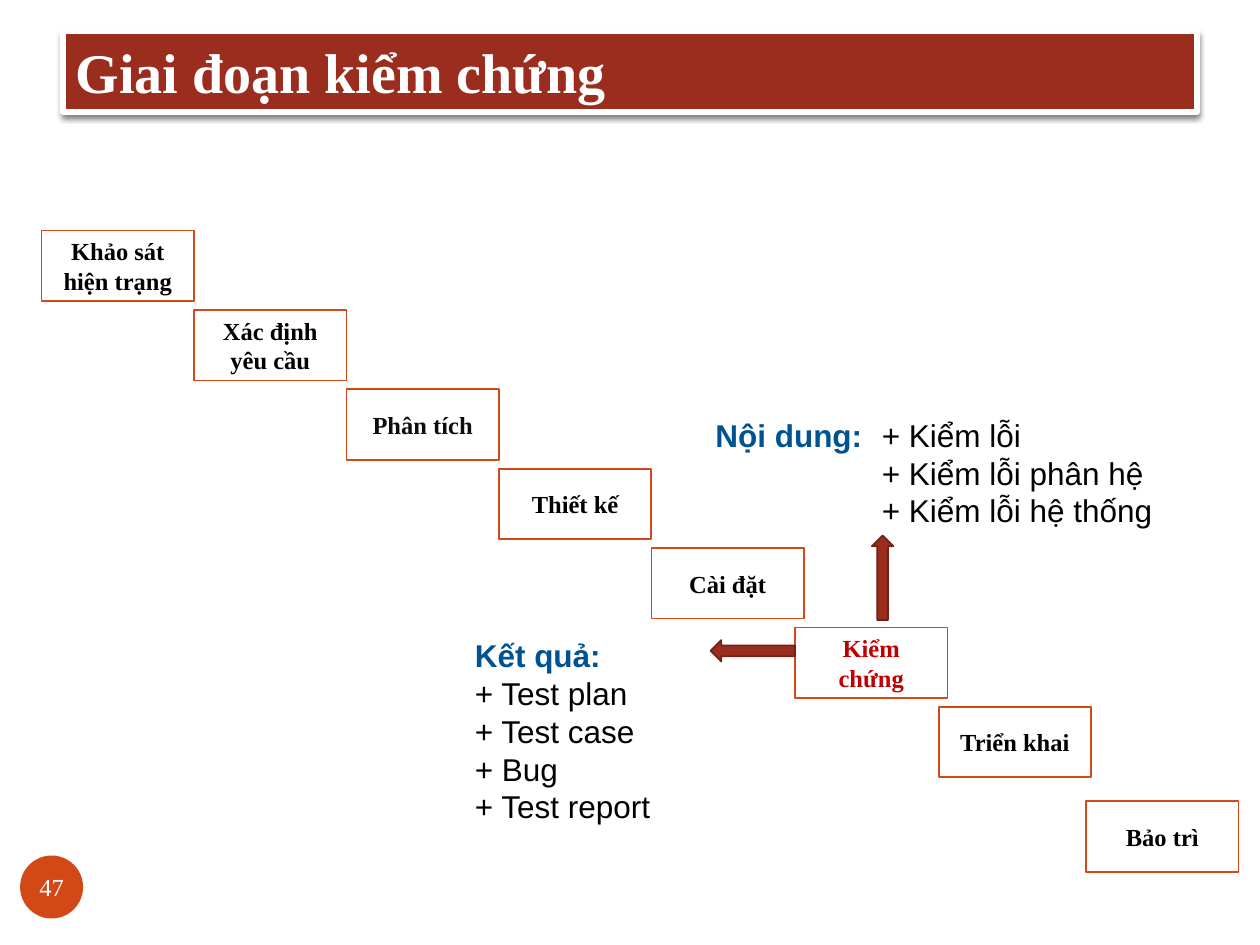
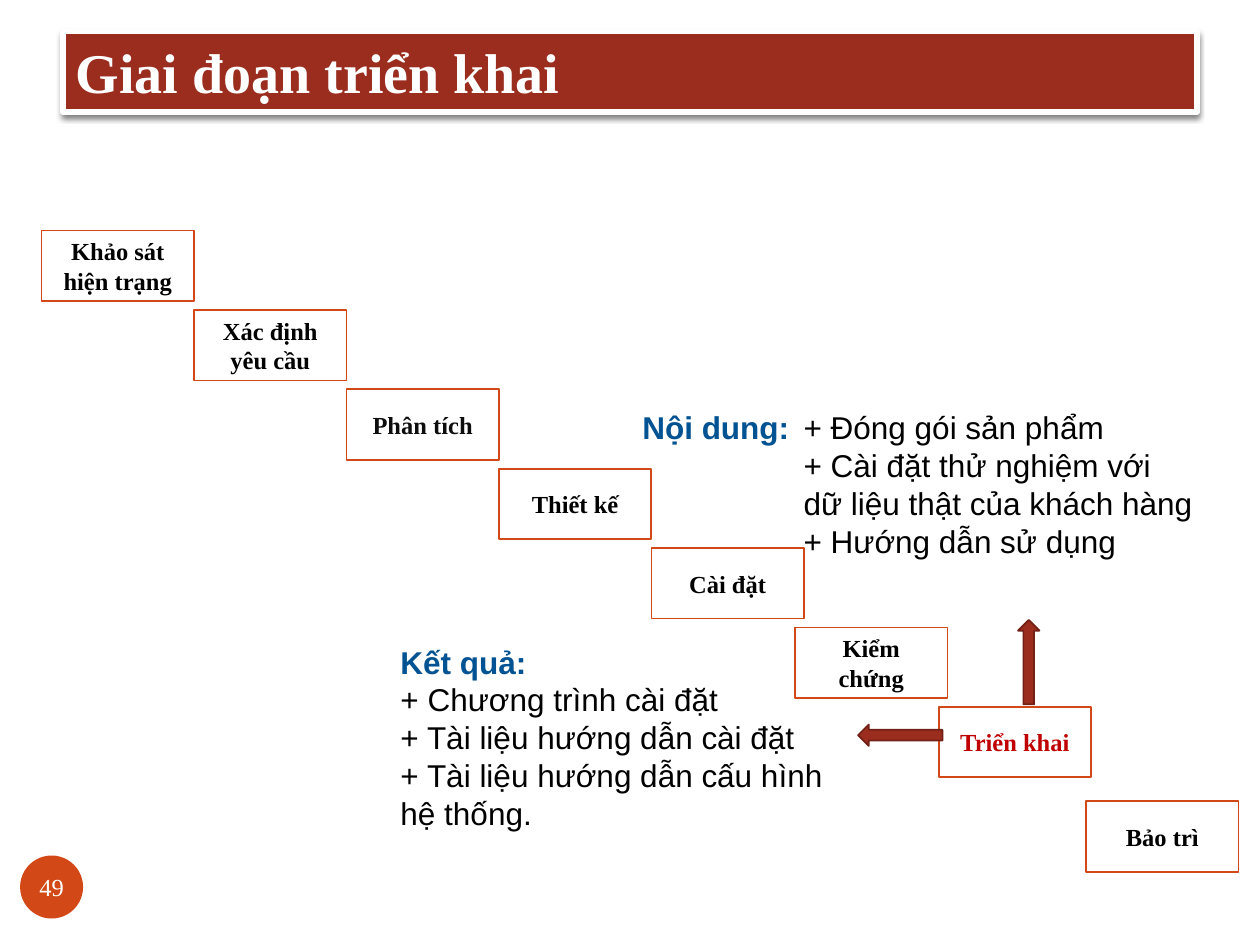
from dataclasses import dataclass
from itertools import accumulate

from lxml import etree
from pptx import Presentation
from pptx.dml.color import RGBColor
from pptx.enum.shapes import MSO_SHAPE
from pptx.enum.text import MSO_ANCHOR, MSO_AUTO_SIZE, PP_ALIGN
from pptx.oxml import parse_xml
from pptx.oxml.ns import nsdecls, qn
from pptx.util import Inches, Pt

RECT, OVAL, ARROW = MSO_SHAPE.RECTANGLE, MSO_SHAPE.OVAL, MSO_SHAPE.RIGHT_ARROW
TOP, MIDDLE = MSO_ANCHOR.TOP, MSO_ANCHOR.MIDDLE
LEFT, CENTER = PP_ALIGN.LEFT, PP_ALIGN.CENTER
FIXED, GROW = MSO_AUTO_SIZE.NONE, MSO_AUTO_SIZE.SHAPE_TO_FIT_TEXT
TITLE_ONLY = 5


@dataclass(frozen=True)
class Theme:
    serif: str = "Times New Roman"
    sans: str = "Arial"
    white: str = "FFFFFF"
    black: str = "000000"
    soft_black: str = "0D0D0D"
    brick: str = "9B2D1F"
    dark_brick: str = "732117"
    orange: str = "D34817"
    red: str = "C00000"
    blue: str = "005392"
    title_size: int = 32
    body_size: int = 18
    label_size: int = 14


STAGES = ["Khảo sát hiện trạng", "Xác định yêu cầu", "Phân tích", "Thiết kế",
          "Cài đặt", "Kiểm chứng", "Triển khai", "Bảo trì"]
STEPS = [(0.33, 1.83)] + [(1.21, 0.63)] * 4 + [(1.14, 0.63)] * 2 + [(1.17, 0.75)]
STAGE_SIZE = (1.21, 0.56)
ARROW_SIZE = (0.67, 0.17)

SLIDES = [
    dict(title="Giai đoạn kiểm chứng", number="47", current="Kiểm chứng",
         up=(6.67, 4.5), left=(5.64, 5.08),
         content_box=(5.58, 3.25, 3.75, 1.01), tab=1.32,
         content=["+ Kiểm lỗi", "+ Kiểm lỗi phân hệ", "+ Kiểm lỗi hệ thống"],
         result_box=(3.67, 5, 3.92, 1.62),
         results=["+ Test plan", "+ Test case", "+ Bug", "+ Test report"]),
    dict(title="Giai đoạn triển khai", number="49", current="Triển khai",
         up=(7.83, 5.17), left=(6.81, 5.75),
         content_box=(5, 3.19, 4.67, 1.31), tab=1.28,
         content=["+ Đóng gói sản phẩm", "+ Cài đặt thử nghiệm với",
                  "dữ liệu thật của khách hàng", "+ Hướng dẫn sử dụng"],
         result_box=(3.08, 5.05, 3.92, 1.62),
         results=["+ Chương trình cài đặt", "+ Tài liệu hướng dẫn cài đặt",
                  "+ Tài liệu hướng dẫn cấu hình", "hệ thống."]),
]


class Deck:
    def __init__(self, theme):
        self.theme = theme
        self.prs = Presentation()
        self.prs.slide_width, self.prs.slide_height = Inches(10), Inches(7.5)
        self.s = None

    def new_slide(self):
        self.s = self.prs.slides.add_slide(self.prs.slide_layouts[TITLE_ONLY])

    def run(self, p, text, font, size, color, bold=False):
        r = p.add_run()
        r.text = text
        r.font.name, r.font.size, r.font.bold = font, Pt(size), bold
        r.font.color.rgb = RGBColor.from_string(color)

    def paint(self, sp, fill, line=None, width=1):
        sp.fill.solid()
        sp.fill.fore_color.rgb = RGBColor.from_string(fill)
        if line:
            sp.line.color.rgb = RGBColor.from_string(line)
            sp.line.width = Pt(width)
        else:
            sp.line.fill.background()

    def shape(self, kind, box, fill, line=None):
        sp = self.s.shapes.add_shape(kind, *map(Inches, box))
        self.paint(sp, fill, line)
        sp.shadow.inherit = False
        return sp

    def label(self, sp, text, color, bold):
        tf = sp.text_frame
        tf.vertical_anchor = MIDDLE
        p = tf.paragraphs[0]
        p.alignment = CENTER
        self.run(p, text, self.theme.serif, self.theme.label_size, color, bold)

    def title(self, text):
        t = self.theme
        sp = self.s.shapes.title
        sp.left, sp.top, sp.width, sp.height = map(Inches, (0.5, 0.25, 9, 0.64))
        self.paint(sp, t.brick, t.white, 3)
        sp.element.spPr.append(parse_xml(
            f'<a:effectLst {nsdecls("a")}>'
            f'<a:outerShdw blurRad="{Pt(3)}" dist="{Pt(2)}" dir="5400000" rotWithShape="0">'
            f'<a:srgbClr val="{t.black}"><a:alpha val="50000"/></a:srgbClr>'
            '</a:outerShdw></a:effectLst>'))
        tf = sp.text_frame
        tf.auto_size, tf.vertical_anchor = FIXED, TOP
        p = tf.paragraphs[0]
        p.alignment = LEFT
        self.run(p, text, t.serif, t.title_size, t.white, True)

    def staircase(self, current):
        t = self.theme
        corners = accumulate(STEPS, lambda a, b: (a[0] + b[0], a[1] + b[1]))
        for name, corner in zip(STAGES, corners):
            color = t.soft_black if name == "Phân tích" else t.black
            sp = self.shape(RECT, (*corner, *STAGE_SIZE), t.white, t.orange)
            self.label(sp, name, t.red if name == current else color, True)

    def arrow(self, corner, rotation):
        t = self.theme
        sp = self.shape(ARROW, (*corner, *ARROW_SIZE), t.brick, t.dark_brick)
        sp.rotation = rotation

    def notes(self, box, heading, lines, tab=None):
        t = self.theme
        tf = self.s.shapes.add_textbox(*map(Inches, box)).text_frame
        tf.word_wrap, tf.auto_size = True, GROW
        rows = [("\t" + line if tab else line) for line in lines]
        if not tab:
            rows.insert(0, "")
        for i, row in enumerate(rows):
            p = tf.add_paragraph() if i else tf.paragraphs[0]
            if tab:
                tabs = etree.SubElement(p._p.get_or_add_pPr(), qn("a:tabLst"))
                etree.SubElement(tabs, qn("a:tab"), pos=str(Inches(tab)), algn="l")
            if i == 0:
                self.run(p, heading, t.sans, t.body_size, t.blue, True)
            if row:
                self.run(p, row, t.sans, t.body_size, t.black)

    def page_number(self, number):
        t = self.theme
        sp = self.shape(OVAL, (0.16, 6.79, 0.5, 0.5), t.orange)
        tf = sp.text_frame
        tf.margin_left = tf.margin_right = tf.margin_top = tf.margin_bottom = 0
        tf.word_wrap = False
        self.label(sp, number, t.white, False)


def main():
    deck = Deck(Theme())
    for d in SLIDES:
        deck.new_slide()
        deck.title(d["title"])
        deck.staircase(d["current"])
        deck.arrow(d["up"], 270)
        deck.arrow(d["left"], 180)
        deck.notes(d["content_box"], "Nội dung:", d["content"], d["tab"])
        deck.notes(d["result_box"], "Kết quả:", d["results"])
        deck.page_number(d["number"])
    deck.prs.save("out.pptx")


if __name__ == "__main__":
    main()
